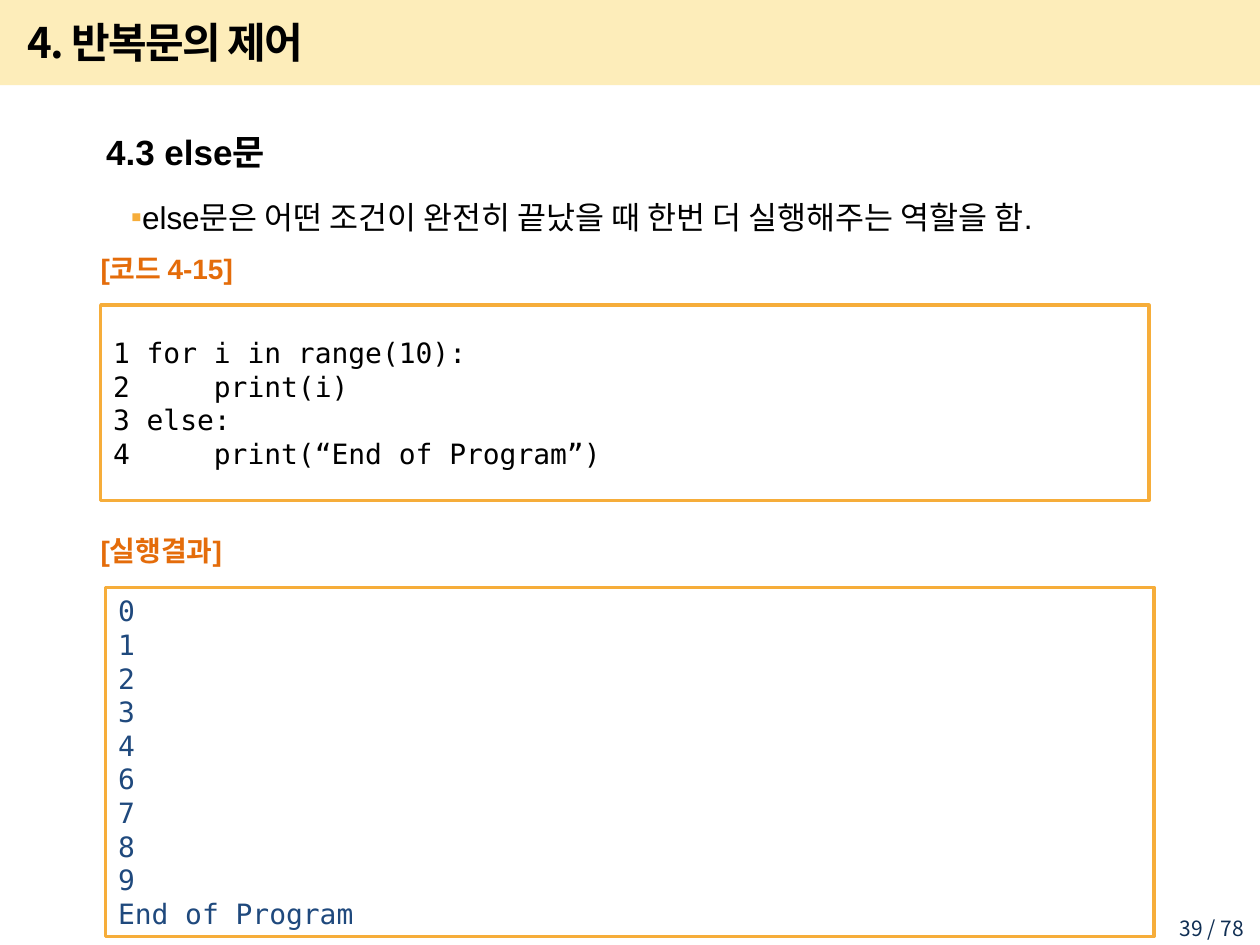
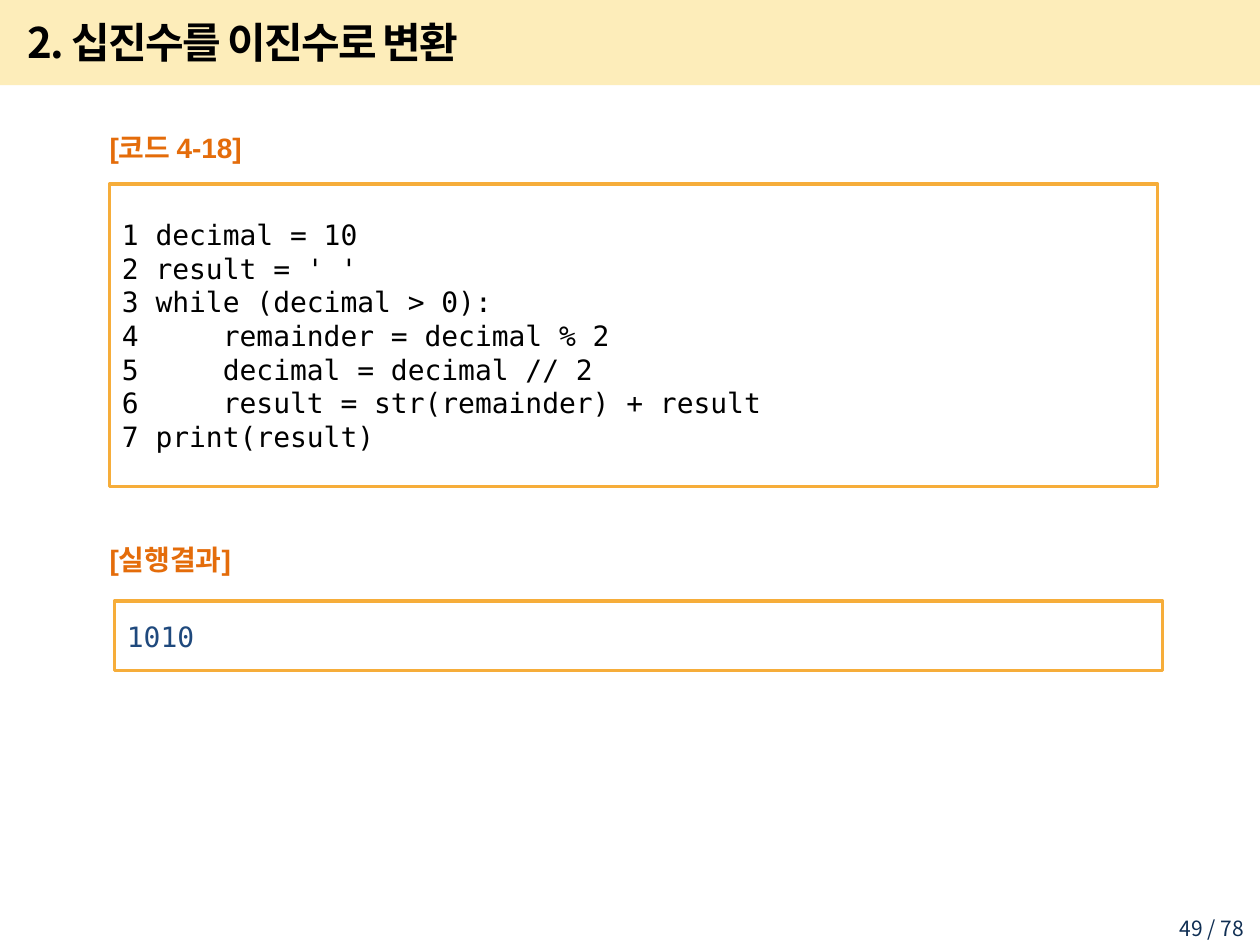
from lxml import etree
from pptx import Presentation
from pptx.dml.color import RGBColor
from pptx.enum.shapes import MSO_SHAPE as Shape
from pptx.enum.text import MSO_ANCHOR as Anchor, PP_ALIGN as Align
from pptx.oxml.ns import qn
from pptx.util import Cm, Pt

BLACK = RGBColor(0, 0, 0)
GOLD = RGBColor(0xFA, 0xBE, 0x00)
FRAME = RGBColor(0xF6, 0xAD, 0x3A)
ORANGE = RGBColor(0xE4, 0x6C, 0x0A)
BLUE = RGBColor(0x1F, 0x49, 0x7D)
NAVY = RGBColor(0x0F, 0x2E, 0x53)

KOREAN, LATIN, MONO = "Noto Sans CJK KR", "Arial", "DejaVu Sans Mono"
TITLE = dict(name=KOREAN, size=Pt(24), bold=True)
HEADING = dict(name=LATIN, size=Pt(20), bold=True)
POINT = dict(name=LATIN, size=Pt(18), bold=False)
LABEL = dict(name=LATIN, size=Pt(16), bold=True)
CODE = dict(name=MONO, size=Pt(16), bold=False)
FOOTER = dict(name=KOREAN, size=Pt(12), bold=False)

TITLE_ONLY = 5
PAGE_COUNT = 78
PANEL_WIDTH = 21.13
LABEL_INDENT = 0.25
RESULT_SHIFT = 0.1


def write(para, text, style, color):
    span = para.add_run()
    span.text = text
    for key, value in style.items():
        setattr(span.font, key, value)
    span.font.color.rgb = color
    etree.SubElement(span.font._element, qn("a:ea"), typeface=KOREAN)
    return span


def add_lines(frame, lines, style, color):
    for index, line in enumerate(lines):
        para = frame.add_paragraph() if index else frame.paragraphs[0]
        para.alignment = Align.LEFT
        write(para, line, style, color)


def add_box(page, left, top, width, height, anchor=Anchor.TOP):
    box = page.shapes.add_textbox(Cm(left), Cm(top), Cm(width), Cm(height))
    box.text_frame.word_wrap = True
    box.text_frame.vertical_anchor = anchor
    return box.text_frame


def add_band(page, width):
    """Draw the translucent strip behind the title."""
    band = page.shapes.add_shape(Shape.RECTANGLE, 0, 0, width, Cm(1.72))
    band.shadow.inherit = False
    band.fill.solid()
    band.fill.fore_color.rgb = GOLD
    color = band._element.spPr.find(".//" + qn("a:srgbClr"))
    etree.SubElement(color, qn("a:alpha"), val="27000")
    band.line.fill.background()
    page.shapes._spTree.insert(2, band._element)


def add_page(deck, title, number):
    page = deck.slides.add_slide(deck.slide_layouts[TITLE_ONLY])
    add_band(page, deck.slide_width)
    heading = page.shapes.title
    heading.left, heading.top = Cm(0.3), Cm(0.18)
    heading.width, heading.height = Cm(21.62), Cm(1.32)
    frame = heading.text_frame
    frame.vertical_anchor = Anchor.MIDDLE
    frame.paragraphs[0].alignment = Align.LEFT
    span = write(frame.paragraphs[0], title, TITLE, BLACK)
    span.font._element.set("spc", "-100")

    footer = add_box(page, 22.99, 18.34, 2.34, 0.58).paragraphs[0]
    footer.alignment = Align.RIGHT
    write(footer, f"{number} / {PAGE_COUNT}", FOOTER, NAVY)
    return page


def add_topic(page, heading, point):
    """Add a section heading with one bulleted sentence below it."""
    frame = add_box(page, 0.89, 2.08, 23.24, 4)
    first, second = frame.paragraphs[0], frame.add_paragraph()
    for para, indent in ((first, 0), (second, 0.5)):
        para.line_spacing = 1.5
        props = para._p.get_or_add_pPr()
        props.set("marL", str(Cm(1)))
        props.set("indent", str(Cm(indent)))
    second.space_before = Pt(3.6)
    bullet_color = etree.SubElement(props, qn("a:buClr"))
    etree.SubElement(bullet_color, qn("a:srgbClr"), val=str(FRAME))
    etree.SubElement(props, qn("a:buFont"), typeface=LATIN)
    etree.SubElement(props, qn("a:buChar"), char="▪")
    write(first, heading, HEADING, BLACK)
    write(second, point, POINT, BLACK)


def add_label(page, text, left, top, height):
    frame = add_box(page, left - LABEL_INDENT, top, 3.99, height, Anchor.MIDDLE)
    add_lines(frame, [text], LABEL, ORANGE)


def add_panel(page, lines, color, left, top, height):
    panel = page.shapes.add_shape(
        Shape.RECTANGLE, Cm(left), Cm(top), Cm(PANEL_WIDTH), Cm(height))
    panel.shadow.inherit = False
    panel.fill.background()
    panel.line.color.rgb = FRAME
    panel.line.width = Pt(2)
    panel.text_frame.word_wrap = True
    panel.text_frame.vertical_anchor = Anchor.MIDDLE
    add_lines(panel.text_frame, lines, CODE, color)


def add_code(page, label, lines, left, top, height):
    add_label(page, label, left, top - 1.37, 1.27)
    add_panel(page, lines, BLACK, left, top, height)


def add_result(page, lines, left, label_top, top, height):
    add_label(page, "[실행결과]", left, label_top, 1.4)
    add_panel(page, lines, BLUE, left + RESULT_SHIFT, top, height)


def main():
    deck = Presentation()
    deck.slide_width, deck.slide_height = Cm(25.4), Cm(19.05)

    page = add_page(deck, "4. 반복문의 제어", 39)
    add_topic(page, "4.3 else문",
              "else문은 어떤 조건이 완전히 끝났을 때 한번 더 실행해주는 역할을 함.")
    add_code(page, "[코드 4-15]", [
        "1 for i in range(10):",
        "2     print(i)",
        "3 else:",
        "4     print(“End of Program”)",
    ], left=2.03, top=6.15, height=3.94)
    add_result(page, [*"012346789", "End of Program"],
               left=2.03, label_top=10.39, top=11.84, height=7.04)

    page = add_page(deck, "2. 십진수를 이진수로 변환", 49)
    add_code(page, "[코드 4-18]", [
        "1 decimal = 10",
        "2 result = ' '",
        "3 while (decimal > 0):",
        "4     remainder = decimal % 2",
        "5     decimal = decimal // 2",
        "6     result = str(remainder) + result",
        "7 print(result)",
    ], left=2.21, top=3.71, height=6.1)
    add_result(page, ["1010"],
               left=2.21, label_top=10.57, top=12.12, height=1.4)

    deck.save("out.pptx")


if __name__ == "__main__":
    main()
